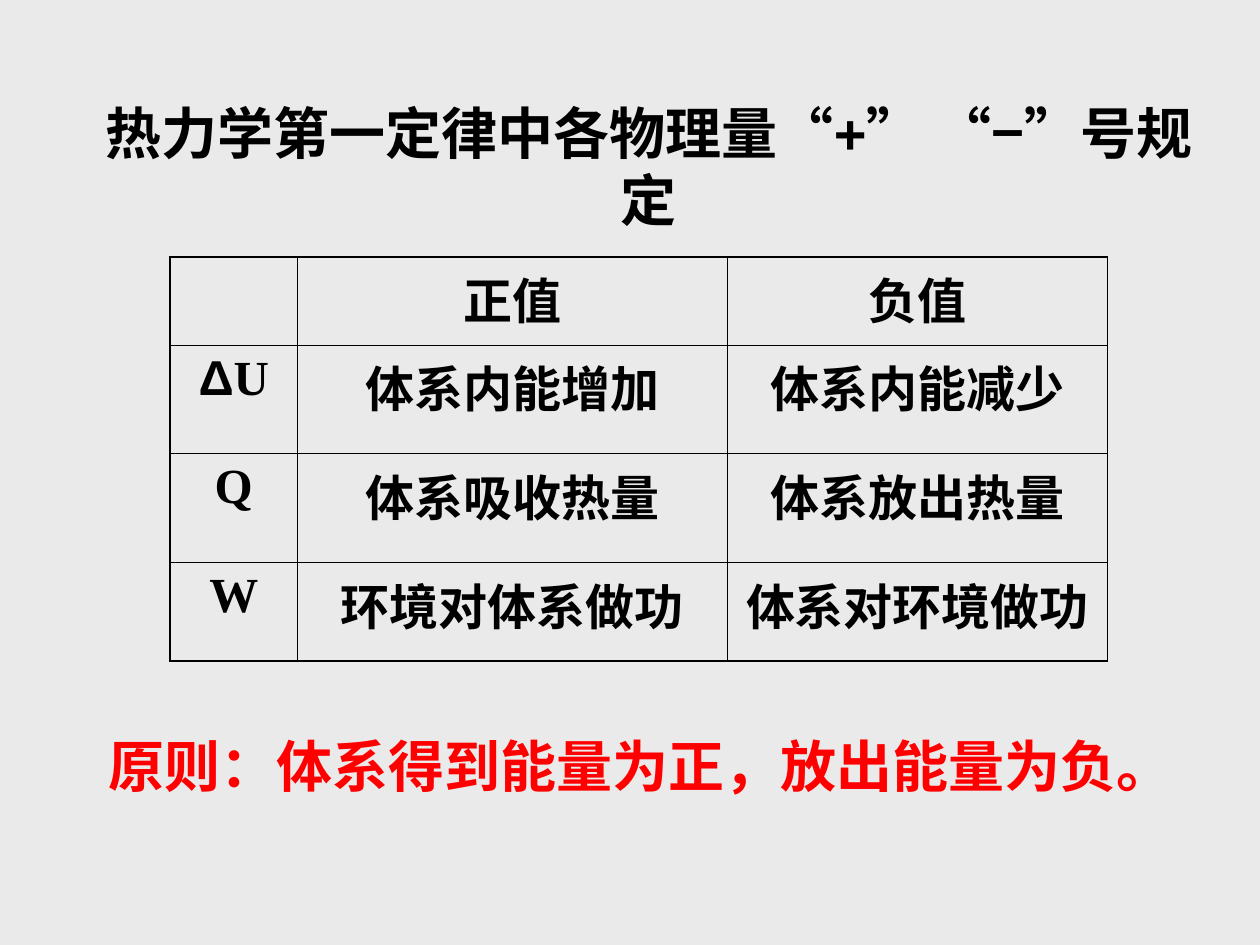
from pptx import Presentation
from pptx.dml.color import RGBColor
from pptx.enum import lang, text
from pptx.oxml import parse_xml
from pptx.oxml.ns import nsdecls
from pptx.util import Pt

SERIF = "Times New Roman"
SANS = "Arial"
BLACK = "000000"
THICK, THIN = 1.08, 0.45
COLS = [72.75, 245.5, 217.5]
ROWS = [50.4, 61.9, 62.6, 56.2]
SIGNS = [
    ["", "正值", "负值"],
    ["ΔU", "体系内能增加", "体系内能减少"],
    ["Q", "体系吸收热量", "体系放出热量"],
    ["W", "环境对体系做功", "体系对环境做功"],
]


def color(code):
    return RGBColor.from_string(code)


def add_run(para, words, size, face, code=BLACK):
    run = para.add_run()
    run.text = words
    font = run.font
    font.size, font.name, font.bold = Pt(size), face, True
    font.color.rgb = color(code)
    font.language_id = lang.MSO_LANGUAGE_ID.SIMPLIFIED_CHINESE


def place(shape, box):
    shape.left, shape.top, shape.width, shape.height = map(Pt, box)


def add_title(slide, box):
    title = slide.shapes.title
    place(title, box)
    frame = title.text_frame
    frame.word_wrap = True
    frame.auto_size = text.MSO_AUTO_SIZE.NONE
    frame.vertical_anchor = text.MSO_ANCHOR.TOP
    para = frame.paragraphs[0]
    para.alignment = text.PP_ALIGN.CENTER
    add_run(para, "热力学第一定律中各物理量“+” “−”号规定", 32, SANS)


def set_edges(cell, row, col):
    """Thick lines around the table, thin ones inside it."""
    outer = {
        "lnL": col == 0,
        "lnR": col == len(COLS) - 1,
        "lnT": row == 0,
        "lnB": row == len(ROWS) - 1,
    }
    props = cell._tc.get_or_add_tcPr()
    for spot, (tag, edge) in enumerate(outer.items()):
        width = Pt(THICK if edge else THIN)
        props.insert(spot, parse_xml(
            f'<a:{tag} {nsdecls("a")} w="{width}"><a:solidFill>'
            f'<a:srgbClr val="{BLACK}"/></a:solidFill></a:{tag}>'))


def add_signs(slide, left, top):
    table = slide.shapes.add_table(
        len(ROWS), len(COLS), Pt(left), Pt(top),
        Pt(sum(COLS)), Pt(sum(ROWS))).table
    table.first_row = table.horz_banding = False
    for col, width in zip(table.columns, COLS):
        col.width = Pt(width)
    for row, height in zip(table.rows, ROWS):
        row.height = Pt(height)
    for r, line in enumerate(SIGNS):
        for c, words in enumerate(line):
            cell = table.cell(r, c)
            cell.fill.background()
            set_edges(cell, r, c)
            para = cell.text_frame.paragraphs[0]
            para.alignment = text.PP_ALIGN.CENTER
            if words.startswith("Δ"):
                add_run(para, "Δ", 28, SANS)
                words = words[1:]
            if words:
                add_run(para, words, 28, SERIF)


def add_rule(slide, box):
    frame = slide.shapes.add_textbox(*map(Pt, box)).text_frame
    frame.word_wrap = True
    frame.auto_size = text.MSO_AUTO_SIZE.SHAPE_TO_FIT_TEXT
    add_run(frame.paragraphs[0], "原则：体系得到能量为正，放出能量为负。",
            32, SERIF, "FF0000")


def main():
    deck = Presentation()
    deck.slide_width, deck.slide_height = Pt(720), Pt(540)
    slide = deck.slides.add_slide(deck.slide_layouts[5])
    fill = slide.background.fill
    fill.solid()
    fill.fore_color.rgb = color("EAEAEA")
    add_title(slide, (50.4, 52.6, 640.8, 51.1))
    add_signs(slide, 97.2, 146.7)
    add_rule(slide, (54.7, 414.7, 635, 46.1))
    deck.save("out.pptx")


if __name__ == "__main__":
    main()
